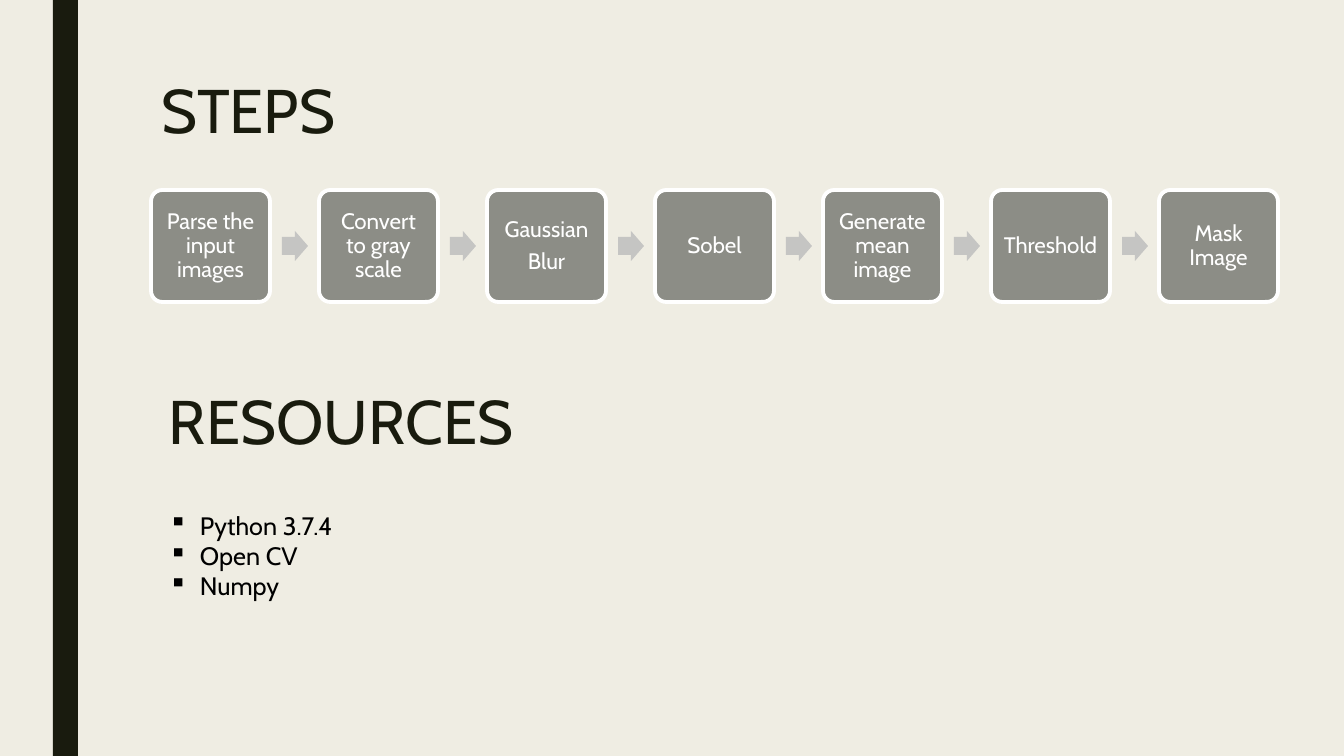
from dataclasses import dataclass

from lxml.etree import SubElement
from pptx import Presentation
from pptx.dml.color import RGBColor
from pptx.enum.shapes import MSO_SHAPE as SHAPE
from pptx.enum.text import MSO_ANCHOR as ANCHOR, MSO_AUTO_SIZE as AUTO, PP_ALIGN as ALIGN
from pptx.oxml.ns import qn
from pptx.util import Emu, Pt


@dataclass(frozen=True)
class Theme:
    font: str = "Cabin"
    background: str = "EFEDE3"
    dark: str = "191B0E"
    box: str = "8C8D86"
    arrow: str = "C5C5C3"
    white: str = "FFFFFF"
    black: str = "000000"
    heading_size: int = 44
    list_size: int = 18
    step_size: int = 16


THEME = Theme()
EMU_PER_PX = 914400 / 100.8

STEPS = ["Parse the input images", "Convert to gray scale", "Gaussian\nBlur", "Sobel",
         "Generate mean image", "Threshold", "Mask Image"]
RESOURCES = ["Python 3.7.4", "Open CV", "Numpy"]

# Step row, in px
STEP_LEFT, STEP_TOP, STEP_W, STEP_H = 151, 190, 119, 112
STEP_PITCH = 168
ARROW_OFFSET, ARROW_W, ARROW_H = 131, 26, 30


def px(n):
    return Emu(round(n * EMU_PER_PX))


def rgb(color):
    return RGBColor.from_string(color)


def format_text(tf, size, color):
    for p in tf.paragraphs:
        for r in p.runs:
            r.font.name = THEME.font
            r.font.size = Pt(size)
            r.font.color.rgb = rgb(color)


def add_block(slide, kind, x, y, w, h, fill):
    sp = slide.shapes.add_shape(kind, px(x), px(y), px(w), px(h))
    sp.shadow.inherit = False
    sp.fill.solid()
    sp.fill.fore_color.rgb = rgb(fill)
    sp.line.fill.background()
    return sp


def add_step(slide, x, text):
    sp = add_block(slide, SHAPE.ROUNDED_RECTANGLE, x, STEP_TOP, STEP_W, STEP_H, THEME.box)
    sp.adjustments[0] = 0.1
    sp.line.color.rgb = rgb(THEME.white)
    sp.line.width = Pt(2.75)
    tf = sp.text_frame
    tf.text = text
    tf.word_wrap = True
    tf.vertical_anchor = ANCHOR.MIDDLE
    tf.margin_left = tf.margin_right = tf.margin_top = tf.margin_bottom = px(7)
    for p in tf.paragraphs:
        p.alignment = ALIGN.CENTER
        p.line_spacing = 0.9
        p.space_after = Pt(5.6)
    format_text(tf, THEME.step_size, THEME.white)


def add_arrow(slide, x):
    y = STEP_TOP + (STEP_H - ARROW_H) // 2
    sp = add_block(slide, SHAPE.RIGHT_ARROW, x, y, ARROW_W, ARROW_H, THEME.arrow)
    sp.adjustments[0] = 0.6
    sp.adjustments[1] = 0.5


def set_title(slide, text, x, y, w, h):
    sp = slide.shapes.title
    sp.left, sp.top, sp.width, sp.height = px(x), px(y), px(w), px(h)
    tf = sp.text_frame
    tf.text = text
    tf.auto_size = AUTO.NONE
    tf.vertical_anchor = ANCHOR.TOP
    p = tf.paragraphs[0]
    p.alignment = ALIGN.LEFT
    p.line_spacing = 0.89
    format_text(tf, THEME.heading_size, THEME.dark)


def add_text(slide, text, x, y, w, h, size, color):
    tf = slide.shapes.add_textbox(px(x), px(y), px(w), px(h)).text_frame
    tf.text = text
    tf.word_wrap = True
    format_text(tf, size, color)
    return tf


def add_bullets(tf, indent):
    for p in tf.paragraphs:
        pPr = p._p.get_or_add_pPr()
        pPr.set("marL", str(px(indent)))
        pPr.set("indent", str(-px(indent)))
        SubElement(pPr, qn("a:buChar")).set("char", "▪")


def main():
    prs = Presentation()
    prs.slide_width, prs.slide_height = px(1344), px(756)
    slide = prs.slides.add_slide(prs.slide_layouts[5])
    slide.background.fill.solid()
    slide.background.fill.fore_color.rgb = rgb(THEME.background)

    # Side bar and title
    add_block(slide, SHAPE.RECTANGLE, 53, 0, 25, 756, THEME.dark)
    set_title(slide, "STEPS", 151, 76, 1058, 163)

    # Steps joined by arrows
    for i, step in enumerate(STEPS):
        x = STEP_LEFT + i * STEP_PITCH
        add_step(slide, x, step)
        if i < len(STEPS) - 1:
            add_arrow(slide, x + ARROW_OFFSET)

    # Resources
    add_text(slide, "RESOURCES", 159, 378, 454, 85, THEME.heading_size, THEME.dark)
    resources = add_text(slide, "\n".join(RESOURCES), 159, 505, 592, 132,
                         THEME.list_size, THEME.black)
    add_bullets(resources, 31)

    prs.save("out.pptx")


if __name__ == "__main__":
    main()
